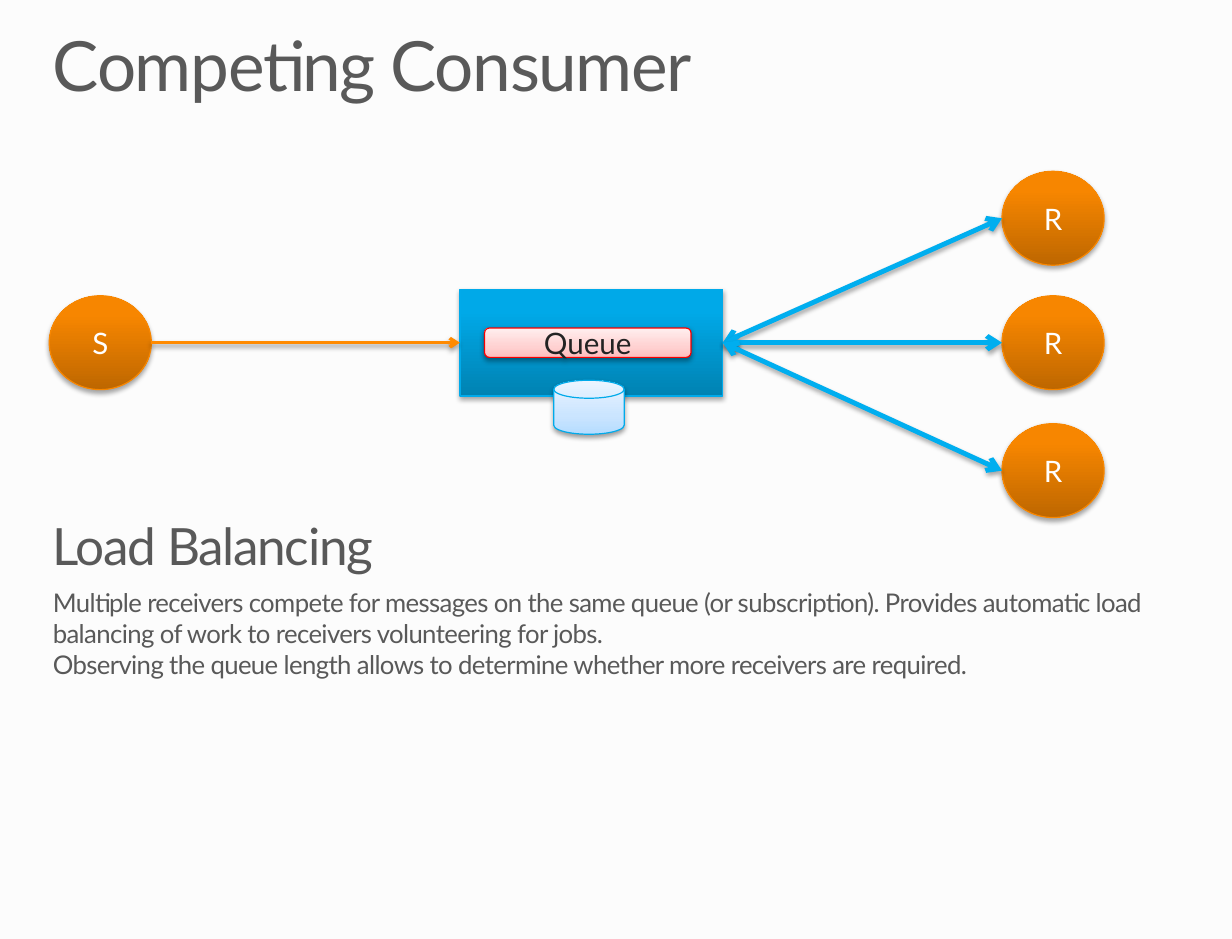
from lxml import etree
from pptx import Presentation
from pptx.dml.color import RGBColor
from pptx.enum.shapes import MSO_CONNECTOR, MSO_SHAPE
from pptx.enum.text import MSO_ANCHOR, PP_ALIGN
from pptx.oxml.ns import qn
from pptx.util import Inches, Pt

RECT, OVAL = MSO_SHAPE.RECTANGLE, MSO_SHAPE.OVAL
DISK, ROUND = MSO_SHAPE.FLOWCHART_MAGNETIC_DISK, MSO_SHAPE.ROUNDED_RECTANGLE
STRAIGHT = MSO_CONNECTOR.STRAIGHT
LEFT, CENTER = PP_ALIGN.LEFT, PP_ALIGN.CENTER
TOP, MIDDLE = MSO_ANCHOR.TOP, MSO_ANCHOR.MIDDLE

TITLE = "Competing Consumer"
HEADING = "Load Balancing"
BODY = [
    "Multiple receivers compete for messages on the same queue (or subscription). "
    "Provides automatic load balancing of work to receivers volunteering for jobs.",
    "Observing the queue length allows to determine whether more receivers are required.",
]
FONT = "Lato"
GREY, DARK, WHITE = "595959", "232323", "FFFFFF"
STYLES = {
    "broker": ([(0, "0082B2"), (80, "00A9E8"), (100, "00A9E9")], "00AAEA", 35),
    "node": ([(0, "BE6700"), (80, "F78600"), (100, "F88600")], "F98700", 35),
    "store": ([(0, "B5DCFF"), (35, "CBE5FF"), (100, "EBF5FF")], "00AAEA", 38),
    "queue": ([(0, "FFBDBD"), (35, "FFD1D1"), (100, "FFEEEE")], "F90000", 38),
}
SHADOW_DIST = {35: 1.8, 38: 1.6}

W, H = 10.5, 8
MARGIN, TEXT_W = 0.45, W - 0.9
AXIS = 2.92
NODE_W, NODE_H = 0.87, 0.8
SENDER_X, RECEIVER_X = 0.42, 8.54
RECEIVER_YS = [1.86, AXIS, 4.01]
BROKER_X, BROKER_W, BROKER_H = 3.92, 2.24, 0.91

prs = Presentation()
prs.slide_width, prs.slide_height = Inches(W), Inches(H)
s = prs.slides.add_slide(prs.slide_layouts[5])


def rgb(value):
    return RGBColor.from_string(value)


def add_text(p, text, size, color=GREY, align=LEFT, spacing=0, line=1, after=0):
    p.alignment, p.line_spacing = align, line
    p.space_before, p.space_after = Pt(0), Pt(after)
    r = p.add_run()
    r.text = text
    r.font.name, r.font.size = FONT, Pt(size)
    r.font.color.rgb = rgb(color)
    if spacing:
        r._r.get_or_add_rPr().set("spc", str(round(spacing * 100)))


def set_frame(tf, anchor=TOP, dx=0, dy=0):
    tf.word_wrap, tf.vertical_anchor = True, anchor
    tf.margin_left = tf.margin_right = Inches(dx)
    tf.margin_top = tf.margin_bottom = Inches(dy)


def place(sp, x, y, w, h):
    sp.left, sp.top, sp.width, sp.height = (Inches(v) for v in (x, y, w, h))


def add_color(parent, value):
    return etree.SubElement(parent, qn("a:srgbClr"), val=value)


def add_shadow(sp, alpha):
    effects = etree.SubElement(sp._element.spPr, qn("a:effectLst"))
    shadow = etree.SubElement(
        effects, qn("a:outerShdw"), blurRad=str(Pt(3.1)),
        dist=str(Pt(SHADOW_DIST[alpha])), dir="5400000", rotWithShape="0")
    etree.SubElement(add_color(shadow, "000000"), qn("a:alpha"), val=str(alpha * 1000))


def add_block(kind, style, x, cy, w, h, text="", color=WHITE):
    stops, line, alpha = STYLES[style]
    sp = s.shapes.add_shape(kind, 0, 0, 0, 0)
    place(sp, x, cy - h / 2, w, h)
    sp.fill.gradient()
    sp.fill.gradient_angle = 90
    gs_list = sp._element.spPr.find(".//" + qn("a:gsLst"))
    for gs in list(gs_list):
        gs_list.remove(gs)
    for pos, value in stops:
        add_color(etree.SubElement(gs_list, qn("a:gs"), pos=str(pos * 1000)), value)
    sp.line.color.rgb, sp.line.width = rgb(line), Pt(0.75)
    add_shadow(sp, alpha)
    if text:
        set_frame(sp.text_frame, MIDDLE, 0.08, 0.04)
        add_text(sp.text_frame.paragraphs[0], text, 18.1, color, CENTER)
    return sp


def add_arrow(x1, y1, x2, y2, color, width, alpha, ends):
    cx = s.shapes.add_connector(STRAIGHT, *(Inches(v) for v in (x1, y1, x2, y2)))
    cx.line.color.rgb, cx.line.width = rgb(color), Pt(width)
    for end in ends:
        etree.SubElement(cx.line._get_or_add_ln(), qn(end), type="arrow")
    add_shadow(cx, alpha)
    return cx


s.background.fill.solid()
s.background.fill.fore_color.rgb = rgb("FCFCFC")

title = s.shapes.title
place(title, MARGIN, 0.27, TEXT_W, 0.64)
set_frame(title.text_frame)
add_text(title.text_frame.paragraphs[0], TITLE, 42.5, spacing=-0.8, line=0.9)

box = s.shapes.add_textbox(0, 0, 0, 0)
place(box, MARGIN, 4.38, TEXT_W, 1.42)
tf = box.text_frame
set_frame(tf)
add_text(tf.paragraphs[0], HEADING, 31.5, spacing=-0.8, after=7.1)
for text in BODY:
    add_text(tf.add_paragraph(), text, 15.8, spacing=-0.4)

broker = add_block(RECT, "broker", BROKER_X, AXIS, BROKER_W, BROKER_H)
add_block(OVAL, "node", SENDER_X, AXIS, NODE_W, NODE_H, "S")
send = add_arrow(SENDER_X + NODE_W, AXIS, BROKER_X, AXIS, "FF8A00", 2, 38, ["a:tailEnd"])
send.end_connect(broker, 1)
add_block(DISK, "store", 4.72, 3.47, 0.6, 0.46)
add_block(ROUND, "queue", 4.13, AXIS, 1.76, 0.25, "Queue", DARK)
for cy in RECEIVER_YS:
    add_block(OVAL, "node", RECEIVER_X, cy, NODE_W, NODE_H, "R")
    link = add_arrow(BROKER_X + BROKER_W, AXIS, RECEIVER_X, cy, "00AEEF", 3, 35,
                     ["a:headEnd", "a:tailEnd"])
    link.begin_connect(broker, 3)

prs.save("out.pptx")
